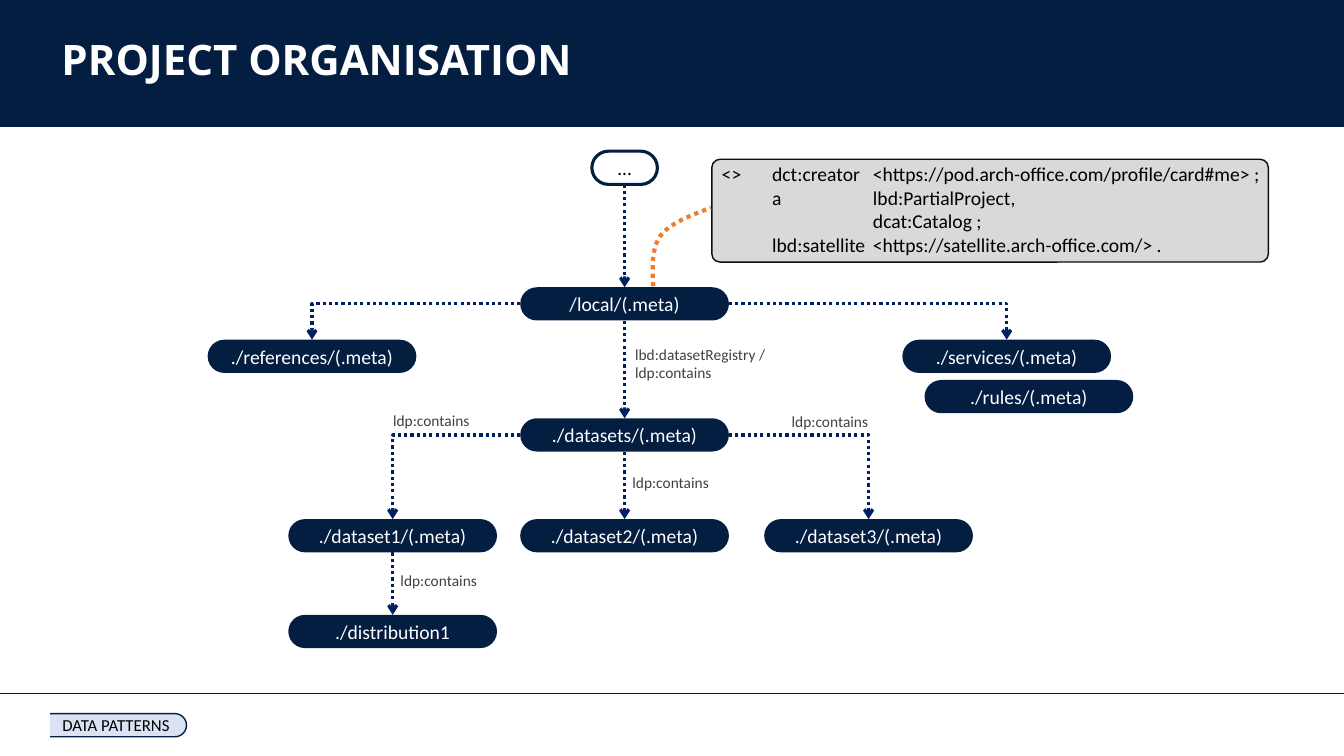
from dataclasses import dataclass

from lxml import etree
from pptx import Presentation, util as u
from pptx.dml.color import RGBColor
from pptx.enum import dml, shapes, text
from pptx.oxml.ns import qn

PX = 9144
NAVY = RGBColor(0x04, 0x1E, 0x42)
ARROW_BLUE = RGBColor(0x00, 0x20, 0x60)
ORANGE = RGBColor(0xED, 0x7D, 0x31)
CHIP_BLUE = RGBColor(0xDA, 0xE3, 0xF3)
CODE_GREY = RGBColor(0xD9, 0xD9, 0xD9)
LABEL_GREY = RGBColor(0x40, 0x40, 0x40)
NEAR_BLACK = RGBColor(0x0D, 0x0D, 0x0D)
BLACK = RGBColor(0, 0, 0)
WHITE = RGBColor(0xFF, 0xFF, 0xFF)
RECT = shapes.MSO_SHAPE.RECTANGLE
ROUNDED = shapes.MSO_SHAPE.ROUNDED_RECTANGLE
LEFT, CENTER, RIGHT = text.PP_ALIGN.LEFT, text.PP_ALIGN.CENTER, text.PP_ALIGN.RIGHT
SITE = {"top": 0, "left": 1, "bottom": 2, "right": 3}
PILL_WIDTH, PILL_HEIGHT = 207, 33
TAB_STOPS = (50, 150)


@dataclass(frozen=True)
class Box:
    left: int
    top: int
    width: int
    height: int

    def emu(self):
        return [u.Emu(side * PX) for side in (self.left, self.top, self.width, self.height)]


@dataclass(frozen=True)
class Container:
    name: str
    left: int
    top: int


@dataclass(frozen=True)
class Link:
    parent: str
    child: str
    leaves: str = "bottom"


@dataclass(frozen=True)
class Label:
    lines: tuple[str, ...]
    box: Box
    size: int = 11
    color: RGBColor = LABEL_GREY
    align: text.PP_ALIGN = LEFT


CONTAINERS = (
    Container("/local/(.meta)", 516, 285),
    Container("./references/(.meta)", 206, 337),
    Container("./services/(.meta)", 895, 337),
    Container("./rules/(.meta)", 917, 377),
    Container("./datasets/(.meta)", 516, 415),
    Container("./dataset1/(.meta)", 286, 515),
    Container("./dataset2/(.meta)", 516, 515),
    Container("./dataset3/(.meta)", 758, 515),
    Container("./distribution1", 286, 610),
)
LINKS = (
    Link("…", "/local/(.meta)"),
    Link("/local/(.meta)", "./references/(.meta)", "left"),
    Link("/local/(.meta)", "./services/(.meta)", "right"),
    Link("/local/(.meta)", "./datasets/(.meta)"),
    Link("./datasets/(.meta)", "./dataset1/(.meta)", "left"),
    Link("./datasets/(.meta)", "./dataset2/(.meta)"),
    Link("./datasets/(.meta)", "./dataset3/(.meta)", "right"),
    Link("./dataset1/(.meta)", "./distribution1"),
)
CONTAINS = ("ldp:contains",)
LABELS = (
    Label(("lbd:datasetRegistry /", "ldp:contains"), Box(620, 337, 241, 47)),
    Label(CONTAINS, Box(380, 403, 241, 29)),
    Label(CONTAINS, Box(768, 404, 103, 29), align=RIGHT),
    Label(CONTAINS, Box(610, 464, 103, 29), align=RIGHT),
    Label(CONTAINS, Box(380, 562, 103, 29), align=RIGHT),
    Label(("DATA PATTERNS",), Box(52, 704, 128, 30), 12, BLACK),
)
METADATA = Label(
    (
        "<>\tdct:creator\t<https://pod.arch-office.com/profile/card#me> ;",
        "\ta\tlbd:PartialProject,",
        "\t\tdcat:Catalog ;",
        "\tlbd:satellite\t<https://satellite.arch-office.com/> .",
    ),
    Box(706, 156, 561, 104), 14, BLACK,
)
CALLOUT_CURVE = (
    ((648, 284), (647, 266), (646, 247), (655, 234)),
    ((655, 234), (665, 221), (685, 214), (705, 206)),
)


def add_panel(slide, kind, box: Box, fill=None, line=None, line_width=1.0, rounding=None):
    panel = slide.shapes.add_shape(kind, *box.emu())
    panel.shadow.inherit = False
    if rounding is not None:
        panel.adjustments[0] = rounding
    if fill is None:
        panel.fill.background()
    else:
        panel.fill.solid()
        panel.fill.fore_color.rgb = fill
    if line is None:
        panel.line.fill.background()
    else:
        panel.line.color.rgb = line
        panel.line.width = u.Pt(line_width)
    return panel


def style(paragraph, size: int, color: RGBColor, align=LEFT, family: str = "Calibri") -> None:
    paragraph.alignment = align
    paragraph.font.size = u.Pt(size)
    paragraph.font.name = family
    paragraph.font.color.rgb = color


def add_pill(slide, name: str, box: Box, color: RGBColor, **look):
    pill = add_panel(slide, ROUNDED, box, rounding=0.5, **look)
    pill.text_frame.text = name
    pill.text_frame.vertical_anchor = text.MSO_ANCHOR.MIDDLE
    style(pill.text_frame.paragraphs[0], 14, color, CENTER)
    return pill


def add_tab_stops(paragraph) -> None:
    tabs = etree.SubElement(paragraph._p.get_or_add_pPr(), qn("a:tabLst"))
    for stop in TAB_STOPS:
        etree.SubElement(tabs, qn("a:tab"), pos=str(stop * PX), algn="l")


def add_label(slide, label: Label, tabbed: bool = False) -> None:
    frame = slide.shapes.add_textbox(*label.box.emu()).text_frame
    frame.word_wrap = True
    frame.text = "\n".join(label.lines)
    for paragraph in frame.paragraphs:
        if tabbed:
            add_tab_stops(paragraph)
        style(paragraph, label.size, label.color, label.align)


def dot_line(line, color: RGBColor, width: float) -> None:
    line.color.rgb = color
    line.width = u.Pt(width)
    line.dash_style = dml.MSO_LINE.ROUND_DOT


def add_line(slide, *ends):
    line = slide.shapes.add_connector(shapes.MSO_CONNECTOR.STRAIGHT, *ends)
    etree.SubElement(line.element.spPr, qn("a:effectLst"))
    return line


def add_link(slide, link: Link, pills: dict) -> None:
    arrow = add_line(slide, 0, 0, 0, 0)
    arrow.begin_connect(pills[link.parent], SITE[link.leaves])
    arrow.end_connect(pills[link.child], SITE["top"])
    if link.leaves != "bottom":
        arrow.element.spPr.find(qn("a:prstGeom")).set("prst", "bentConnector2")
    dot_line(arrow.line, ARROW_BLUE, 2.25)
    etree.SubElement(arrow.line._get_or_add_ln(), qn("a:tailEnd"), type="arrow")


def bezier_point(curve, t: float) -> tuple[float, float]:
    weights = ((1 - t) ** 3, 3 * t * (1 - t) ** 2, 3 * t * t * (1 - t), t ** 3)
    x, y = (sum(w * p[axis] for w, p in zip(weights, curve)) for axis in (0, 1))
    return x * PX, y * PX


def add_callout_curve(slide) -> None:
    points = [bezier_point(curve, step / 12) for curve in CALLOUT_CURVE for step in range(1, 13)]
    start_x, start_y = CALLOUT_CURVE[0][0]
    builder = slide.shapes.build_freeform(start_x * PX, start_y * PX)
    builder.add_line_segments(points, close=False)
    pointer = builder.convert_to_shape()
    pointer.shadow.inherit = False
    pointer.fill.background()
    dot_line(pointer.line, ORANGE, 3)


def add_title(slide) -> None:
    band = add_panel(slide, RECT, Box(0, -1, 1334, 127), NAVY)
    title = slide.shapes.title
    band.element.addnext(title.element)
    title.left, title.top, title.width, title.height = Box(51, 0, 1149, 123).emu()
    title.text_frame.text = "PROJECT ORGANISATION"
    title.text_frame.vertical_anchor = text.MSO_ANCHOR.MIDDLE
    heading = title.text_frame.paragraphs[0]
    heading.line_spacing = 0.9
    style(heading, 30, WHITE, family="Open Sans")
    heading.font.bold = True


def main() -> None:
    deck = Presentation()
    deck.slide_width, deck.slide_height = u.Emu(1333 * PX), u.Emu(750 * PX)
    slide = deck.slides.add_slide(deck.slide_layouts[5])
    footer_rule = add_line(slide, 0, 688 * PX, 1333 * PX, 688 * PX)
    footer_rule.line.color.rgb = NAVY
    footer_rule.line.width = u.Pt(1)
    add_title(slide)

    pills = {"…": add_pill(slide, "…", Box(587, 150, 65, PILL_HEIGHT), BLACK, line=NAVY, line_width=2.25)}
    for item in CONTAINERS:
        box = Box(item.left, item.top, PILL_WIDTH, PILL_HEIGHT)
        pills[item.name] = add_pill(slide, item.name, box, WHITE, fill=NAVY)
    for link in LINKS:
        add_link(slide, link, pills)

    add_panel(slide, ROUNDED, Box(706, 158, 552, 102), CODE_GREY, NEAR_BLACK, rounding=0.08)
    add_label(slide, METADATA, tabbed=True)
    add_callout_curve(slide)
    add_panel(slide, ROUNDED, Box(28, 708, 157, 23), CHIP_BLUE, NAVY, rounding=0.5)
    add_panel(slide, RECT, Box(27, 705, 22, 27), WHITE, WHITE)
    for label in LABELS:
        add_label(slide, label)
    deck.save("out.pptx")


if __name__ == "__main__":
    main()
